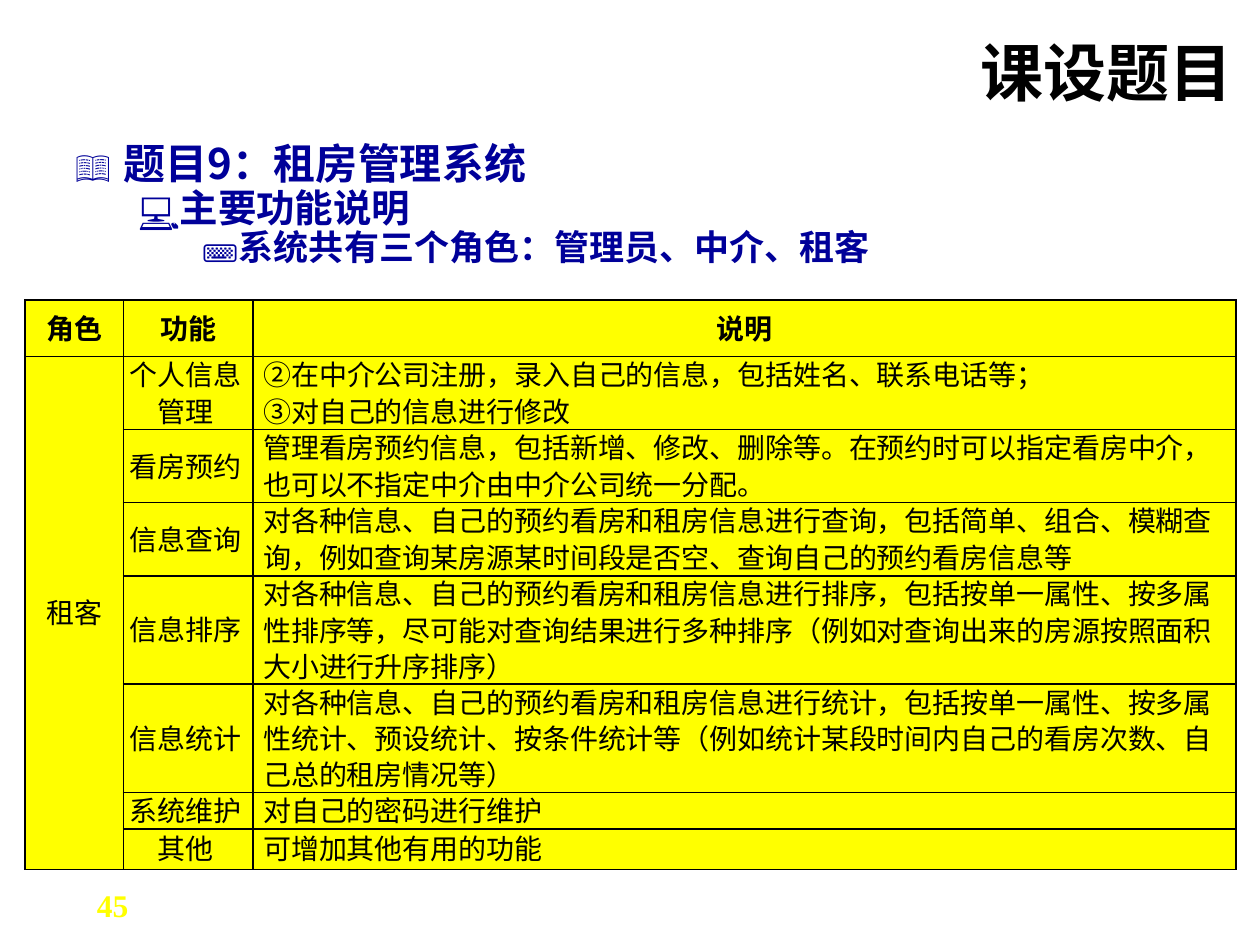
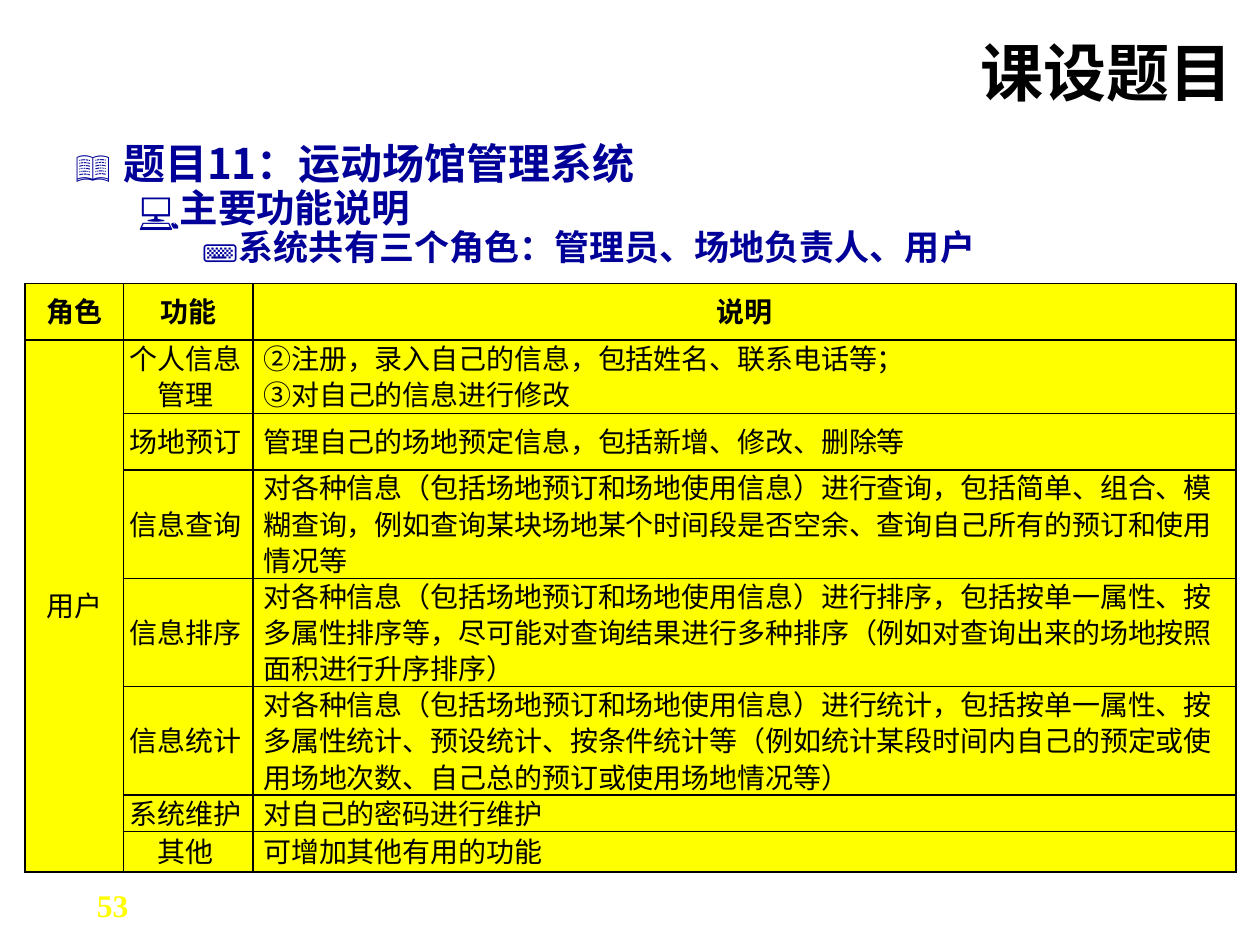
from pptx import Presentation
from pptx.dml.color import RGBColor as RGB
from pptx.enum.text import MSO_ANCHOR as Anchor, PP_ALIGN as Align
from pptx.oxml.ns import qn
from pptx.util import Inches, Pt
from lxml.etree import SubElement as Sub

HUES = {"ink": "000000", "navy": "000099", "sun": "FFFF00"}
SANS, SERIF, ROUND = "Noto Sans CJK SC", "Times New Roman", "Calibri"

# Outline levels: size, left margin, hanging indent, bullet, bullet percent
LEVELS = [
    (24, 0.38, 0.38, "📖", 80),
    (22, 0.81, 0.31, "💻", 100),
    (20, 1.25, 0.25, "⌨", 100),
]
COLS = [0.78, 1.03, 7.8]
HEAD = ["角色", "功能", "说明"]
TOPIC = "主要功能说明"
# Row heights for two and three lines of text
TWO, THREE = 0.58, 0.86
LAST = [
    ("系统维护", "对自己的密码进行维护", 0.29),
    ("其他", "可增加其他有用的功能", 0.32),
]

PAGES = [
    {
        "num": "45",
        "lines": ["题目9：租房管理系统", TOPIC,
                  "系统共有三个角色：管理员、中介、租客"],
        "top": 2.38,
        "role": "租客",
        "rows": [
            ("个人信息管理", "②在中介公司注册，录入自己的信息，包括姓名、联系电话等；\n"
             "③对自己的信息进行修改", TWO),
            ("看房预约", "管理看房预约信息，包括新增、修改、删除等。在预约时可以指定看房中介，"
             "也可以不指定中介由中介公司统一分配。", TWO),
            ("信息查询", "对各种信息、自己的预约看房和租房信息进行查询，包括简单、组合、模糊查询，"
             "例如查询某房源某时间段是否空、查询自己的预约看房信息等", TWO),
            ("信息排序", "对各种信息、自己的预约看房和租房信息进行排序，包括按单一属性、按多属性排序等，"
             "尽可能对查询结果进行多种排序（例如对查询出来的房源按照面积大小进行升序排序）", THREE),
            ("信息统计", "对各种信息、自己的预约看房和租房信息进行统计，包括按单一属性、按多属性统计、"
             "预设统计、按条件统计等（例如统计某段时间内自己的看房次数、自己总的租房情况等）", THREE),
        ],
    },
    {
        "num": "53",
        "lines": ["题目11：运动场馆管理系统", TOPIC,
                  "系统共有三个角色：管理员、场地负责人、用户"],
        "top": 2.25,
        "role": "用户",
        "rows": [
            ("个人信息管理", "②注册，录入自己的信息，包括姓名、联系电话等；\n"
             "③对自己的信息进行修改", TWO),
            ("场地预订", "管理自己的场地预定信息，包括新增、修改、删除等", 0.45),
            ("信息查询", "对各种信息（包括场地预订和场地使用信息）进行查询，包括简单、组合、模糊查询，"
             "例如查询某块场地某个时间段是否空余、查询自己所有的预订和使用情况等", THREE),
            ("信息排序", "对各种信息（包括场地预订和场地使用信息）进行排序，包括按单一属性、按多属性排序等，"
             "尽可能对查询结果进行多种排序（例如对查询出来的场地按照面积进行升序排序）", THREE),
            ("信息统计", "对各种信息（包括场地预订和场地使用信息）进行统计，包括按单一属性、按多属性统计、"
             "预设统计、按条件统计等（例如统计某段时间内自己的预定或使用场地次数、"
             "自己总的预订或使用场地情况等）", THREE),
        ],
    },
]


def style(para, size, hue, bold=True, face=SANS, align=Align.LEFT):
    """Set the look of a whole paragraph, East Asian face included."""
    para.alignment = align
    font = para.font
    font.size, font.bold, font.name = Pt(size), bold, face
    font.color.rgb = RGB.from_string(HUES[hue])
    Sub(para._p.pPr.find(qn("a:defRPr")), qn("a:ea"), typeface=face)


def place(shape, box):
    shape.left, shape.top, shape.width, shape.height = map(Inches, box)


def add_title(slide, box):
    title = slide.shapes.title
    place(title, box)
    frame = title.text_frame
    frame.text = "课设题目"
    frame.vertical_anchor = Anchor.MIDDLE
    style(frame.paragraphs[0], 36, "ink", align=Align.RIGHT)


def add_number(slide, box, num):
    frame = slide.shapes.add_textbox(*map(Inches, box)).text_frame
    frame.word_wrap = False
    frame.text = num
    style(frame.paragraphs[0], 18, "sun", face=SERIF)


def add_bullet(para, left, hang, mark, scale):
    props = para._p.pPr
    props.set("marL", str(Inches(left)))
    props.set("indent", str(-Inches(hang)))
    parts = [
        ("a:buSzPct", {"val": str(scale * 1000)}),
        ("a:buFont", {"typeface": SANS}),
        ("a:buChar", {"char": mark}),
    ]
    last = props.find(qn("a:defRPr"))
    for tag, attrs in parts:
        last.addprevious(Sub(props, qn(tag), attrs))


def add_outline(slide, box, lines):
    frame = slide.shapes.add_textbox(*map(Inches, box)).text_frame
    frame.word_wrap = True
    frame.text = "\n".join(lines)
    for level, (para, spec) in enumerate(zip(frame.paragraphs, LEVELS)):
        size, *bullet = spec
        para.level = level
        para.line_spacing = 0.9
        style(para, size, "navy")
        add_bullet(para, *bullet)


def add_edges(cell):
    props = cell._tc.get_or_add_tcPr()
    for i, side in enumerate(("lnL", "lnR", "lnT", "lnB")):
        line = Sub(props, qn("a:" + side), w=str(Pt(1)))
        fill = Sub(line, qn("a:solidFill"))
        Sub(fill, qn("a:srgbClr"), val=HUES["ink"])
        props.insert(i, line)


def fill_cell(cell, text, head, col):
    cell.fill.solid()
    cell.fill.fore_color.rgb = RGB.from_string(HUES["sun"])
    add_edges(cell)
    cell.vertical_anchor = Anchor.MIDDLE
    cell.margin_top = cell.margin_bottom = 0
    cell.margin_left = Inches(0.04 if col == 1 and not head else 0.08)
    cell.margin_right = Inches(0.08)
    align = Align.CENTER if head or col < 2 else Align.LEFT
    frame = cell.text_frame
    for i, line in enumerate(text.split("\n")):
        para = frame.add_paragraph() if i else frame.paragraphs[0]
        para.line_spacing = 0.9
        style(para, 16, "ink", bold=head, align=align)
        # Circled numbers take their own face
        if line[:1] in ("②", "③"):
            run = para.add_run()
            run.text, line = line[0], line[1:]
            run.font.name = ROUND
        if line:
            para.add_run().text = line


def add_grid(slide, left, top, role, rows):
    rows = rows + LAST
    highs = [0.45] + [high for *_, high in rows]
    texts = [HEAD] + [["" if i else role, name, note]
                      for i, (name, note, _) in enumerate(rows)]
    box = (left, top, sum(COLS), sum(highs))
    table = slide.shapes.add_table(len(highs), len(COLS), *map(Inches, box)).table
    table.first_row = table.horz_banding = False
    for col, width in zip(table.columns, COLS):
        col.width = Inches(width)
    for r, (high, line) in enumerate(zip(highs, texts)):
        table.rows[r].height = Inches(high)
        for c, text in enumerate(line):
            fill_cell(table.cell(r, c), text, r == 0, c)
    table.cell(1, 0).merge(table.cell(len(rows), 0))


def add_page(deck, page):
    slide = deck.slides.add_slide(deck.slide_layouts[5])
    add_number(slide, (0.67, 6.98, 0.5, 0.4), page["num"])
    add_title(slide, (2.48, 0.13, 7.4, 0.87))
    add_outline(slide, (0.5, 1.09, 9.3, 5.59), page["lines"])
    add_grid(slide, 0.2, page["top"], page["role"], page["rows"])


def main():
    deck = Presentation()
    deck.slide_width, deck.slide_height = Inches(10), Inches(7.5)
    for page in PAGES:
        add_page(deck, page)
    deck.save("out.pptx")


if __name__ == "__main__":
    main()
